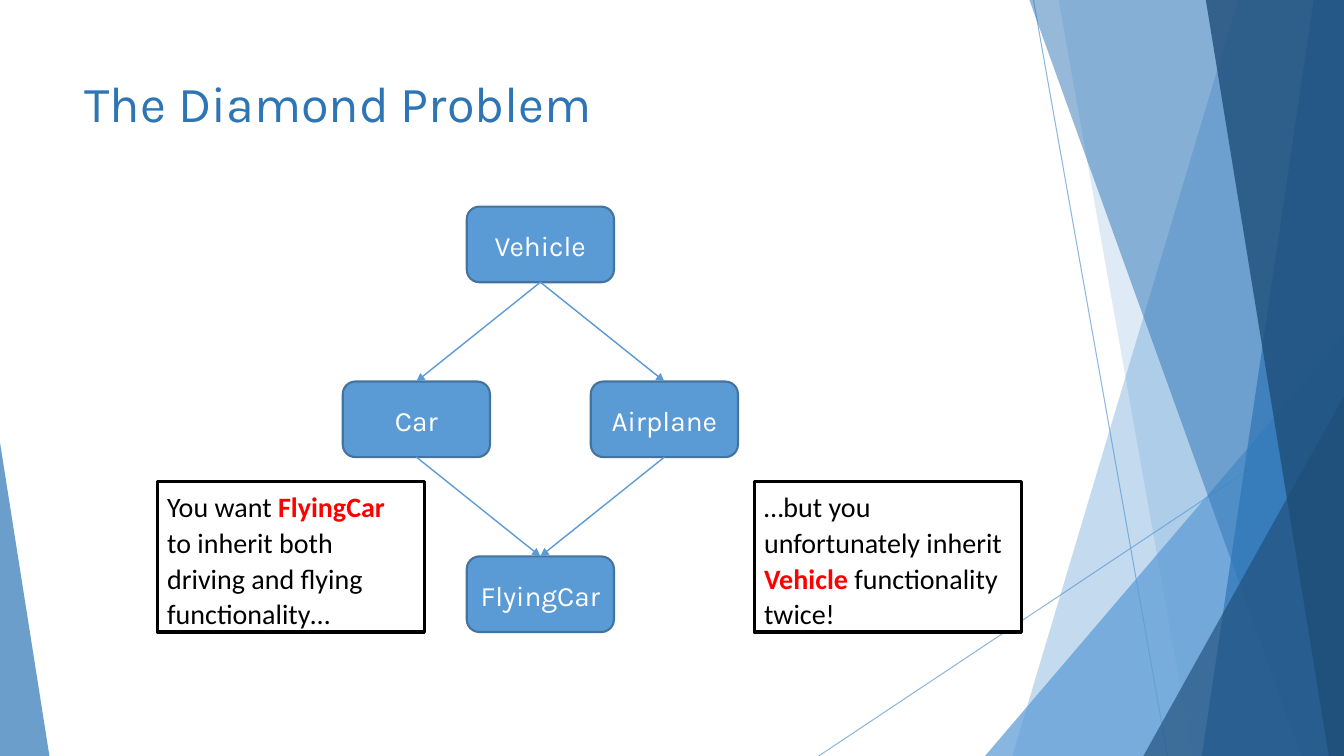
"""Build the slide on the diamond problem of multiple inheritance."""
from dataclasses import dataclass

from lxml.etree import SubElement
from pptx import Presentation
from pptx.dml.color import RGBColor as RGB
from pptx.enum.shapes import MSO_CONNECTOR as CONN, MSO_SHAPE as SHAPE
from pptx.enum.text import MSO_ANCHOR as ANCHOR, MSO_AUTO_SIZE as FIT, PP_ALIGN as ALIGN
from pptx.oxml.ns import qn
from pptx.util import Inches, Pt

WIDTH, HEIGHT = 13.33, 7.5


@dataclass(frozen=True)
class Theme:
    sky: RGB = RGB.from_string("5B9BD5")
    blue: RGB = RGB.from_string("2E75B6")
    navy: RGB = RGB.from_string("1F4E79")
    edge: RGB = RGB.from_string("43739E")
    red: RGB = RGB.from_string("FF0000")
    black: RGB = RGB.from_string("000000")
    white: RGB = RGB.from_string("FFFFFF")
    head_font: str = "Karla"
    note_font: str = "Calibri"
    title_size: int = 36
    text_size: int = 20


def set_all(obj, values):
    for name, value in values.items():
        setattr(obj, name, value)


class Deck:
    def __init__(self, theme):
        self.theme = theme
        self.prs = Presentation()
        set_all(self.prs, {"slide_width": Inches(WIDTH), "slide_height": Inches(HEIGHT)})
        self.s = self.prs.slides.add_slide(self.prs.slide_layouts[5])

    def fade(self, sp, percent):
        for color in sp._element.spPr.iter(qn("a:srgbClr")):
            SubElement(color, qn("a:alpha")).set("val", str(percent * 1000))

    def paint(self, sp, fill, line=None, width=0):
        sp.shadow.inherit = False
        sp.fill.solid()
        sp.fill.fore_color.rgb = fill
        if line is None:
            sp.line.fill.background()
        else:
            sp.line.color.rgb = line
            sp.line.width = Pt(width)
        return sp

    def run(self, p, text, color, font, size, bold=False):
        r = p.add_run()
        r.text = text
        set_all(r.font, {"name": font, "size": Pt(size), "bold": bold})
        r.font.color.rgb = color

    def title(self, text, x, y, w, h):
        t, sp = self.theme, self.s.shapes.title
        set_all(sp, {"left": Inches(x), "top": Inches(y), "width": Inches(w), "height": Inches(h)})
        set_all(sp.text_frame, {"vertical_anchor": ANCHOR.TOP, "word_wrap": True, "auto_size": FIT.NONE})
        p = sp.text_frame.paragraphs[0]
        p.alignment = ALIGN.LEFT
        self.run(p, text, t.blue, t.head_font, t.title_size)

    def line(self, color, width, start=(0, 0), end=(0, 0)):
        ends = [Inches(v) for v in (*start, *end)]
        c = self.s.shapes.add_connector(CONN.STRAIGHT, *ends)
        c.line.color.rgb = color
        c.line.width = Pt(width)
        SubElement(c._element.spPr, qn("a:effectLst"))
        return c

    def panel(self, top_x, bottom_x, color, opacity):
        corners = [(WIDTH, 0), (WIDTH, HEIGHT), (bottom_x, HEIGHT)]
        fb = self.s.shapes.build_freeform(Inches(top_x), 0)
        fb.add_line_segments([(Inches(x), Inches(y)) for x, y in corners])
        self.fade(self.paint(fb.convert_to_shape(), color), opacity)

    def wedge(self, x, y, w, apex, color, opacity):
        sp = self.s.shapes.add_shape(
            SHAPE.ISOSCELES_TRIANGLE, Inches(x), Inches(y), Inches(w), Inches(HEIGHT - y))
        sp.adjustments[0] = apex
        self.fade(self.paint(sp, color), opacity)

    def box(self, kind, x, y, w, h, paint, runs, font, align, anchor):
        sp = self.s.shapes.add_shape(kind, Inches(x), Inches(y), Inches(w), Inches(h))
        self.paint(sp, *paint)
        tf = sp.text_frame
        set_all(tf, {"word_wrap": True, "vertical_anchor": anchor})
        p = tf.paragraphs[0]
        set_all(p, {"alignment": align, "line_spacing": 1.07, "space_after": Pt(8)})
        for text, color, bold in runs:
            self.run(p, text, color, font, self.theme.text_size, bold)
        return sp

    def node(self, text, x, y):
        t = self.theme
        return self.box(SHAPE.ROUNDED_RECTANGLE, x, y, 1.46, 0.75, (t.sky, t.edge, 1.5),
                        [(text, t.white, False)], t.head_font, ALIGN.CENTER, ANCHOR.MIDDLE)

    def note(self, x, before, key, after):
        t = self.theme
        runs = [(before, t.black, False), (key, t.red, True), (after, t.black, False)]
        self.box(SHAPE.RECTANGLE, x, 4.78, 2.65, 1.49, (t.white, t.black, 2.25),
                 runs, t.note_font, ALIGN.LEFT, ANCHOR.TOP)

    def arrow(self, parent, child):
        c = self.line(self.theme.sky, 1)
        c.begin_connect(parent, 2)
        c.end_connect(child, 0)
        SubElement(c.line._get_or_add_ln(), qn("a:tailEnd")).set("type", "triangle")


def main():
    t = Theme()
    deck = Deck(t)
    for start, end in [((10.25, 0), (11.58, HEIGHT)), ((WIDTH, 4.03), (8.12, HEIGHT))]:
        deck.fade(deck.line(t.sky, 0.75, start, end), 70)
    deck.panel(12.28, 10.04, t.sky, 36)
    deck.panel(10.5, 11.83, t.sky, 20)
    deck.wedge(9.77, 3.33, 3.56, 1, t.sky, 72)
    deck.panel(10.21, 12.91, t.blue, 50)
    deck.panel(13.03, 11.92, t.blue, 70)
    deck.panel(11.96, 13.18, t.navy, 80)
    deck.wedge(11.34, 3.93, 1.99, 1, t.navy, 66)
    deck.wedge(0, 4.39, 0.49, 0, t.blue, 70)

    deck.title("The Diamond Problem", 0.74, 0.67, 9.4, 1.44)

    mid_x, top, step_x, step_y = 4.63, 2.05, 1.23, 1.735
    places = {"Vehicle": (0, 0), "FlyingCar": (0, 2), "Car": (-1, 1), "Airplane": (1, 1)}
    nodes = {name: deck.node(name, mid_x + col * step_x, top + row * step_y)
             for name, (col, row) in places.items()}
    for middle in ("Car", "Airplane"):
        deck.arrow(nodes["Vehicle"], nodes[middle])
        deck.arrow(nodes[middle], nodes["FlyingCar"])

    deck.note(1.56, "You want ", "FlyingCar", " to inherit both driving and flying functionality…")
    deck.note(7.48, "…but you unfortunately inherit ", "Vehicle", " functionality twice!")
    deck.prs.save("out.pptx")


if __name__ == "__main__":
    main()
